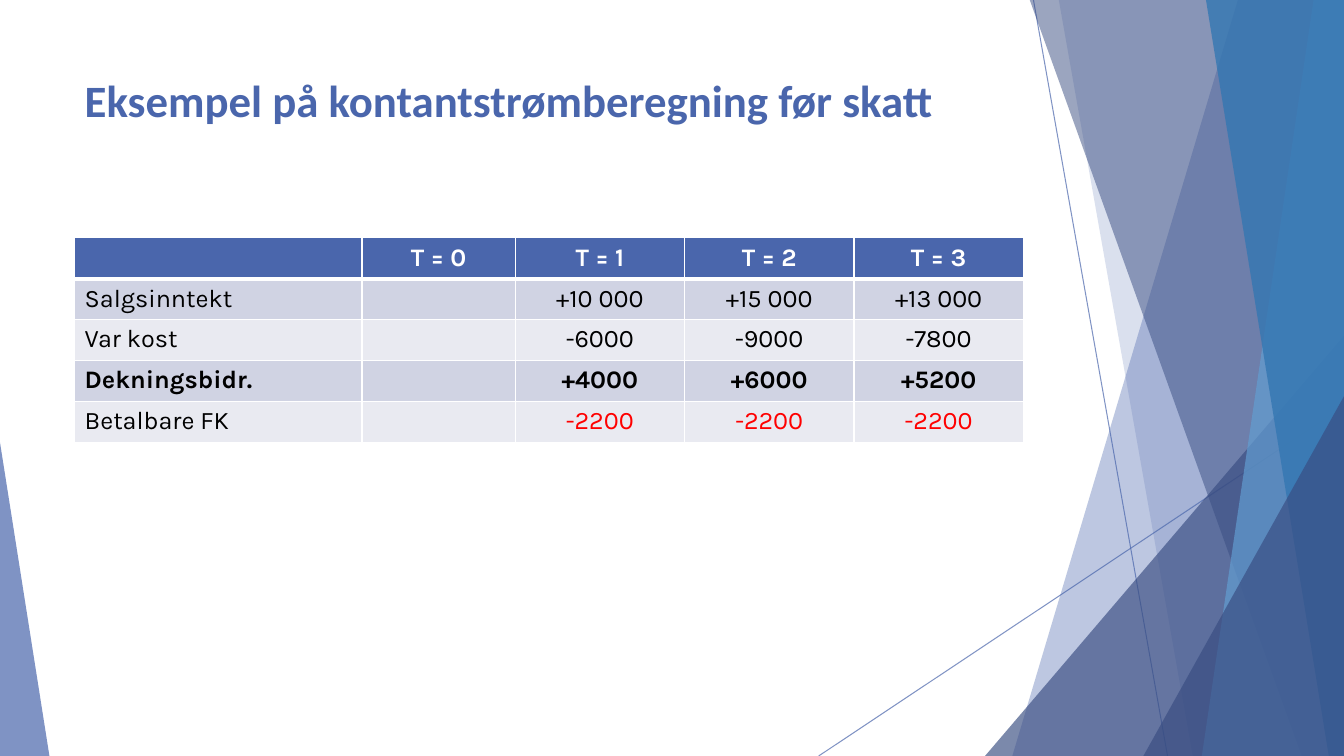
from dataclasses import dataclass

from lxml.etree import SubElement
from pptx import Presentation
from pptx.dml.color import RGBColor
from pptx.enum.shapes import MSO_CONNECTOR, MSO_SHAPE
from pptx.enum.text import MSO_ANCHOR, MSO_AUTO_SIZE, PP_ALIGN
from pptx.oxml.ns import qn
from pptx.util import Inches, Pt

WIDTH, HEIGHT = 13.33, 7.5
PANEL_TOP = -0.01
BLUE, NAVY, SKY, OCEAN = "4A66AC", "384C81", "629DD1", "3477B2"
WHITE, BLACK, RED = "FFFFFF", "000000", "FF0000"
BANDS = ("D0D3E3", "E9EAF1")


@dataclass(frozen=True)
class Ray:
    start: tuple[float, float]
    end: tuple[float, float]


@dataclass(frozen=True)
class Panel:
    """Area from a slanted left edge to the right side of the slide."""
    top_x: float
    bottom_x: float
    color: str
    opacity: int


@dataclass(frozen=True)
class Wedge:
    """Right triangle on the bottom edge; apex is 0 for left, 1 for right."""
    left: float
    top: float
    width: float
    apex: int
    color: str
    opacity: int


@dataclass(frozen=True)
class CashFlow:
    label: str
    amounts: tuple[str, ...]
    bold: bool = False
    amount_color: str = BLACK


RAYS = (Ray((10.25, 0), (11.58, HEIGHT)), Ray((WIDTH, 4.03), (8.12, HEIGHT)))
FACETS = (
    Panel(12.28, 10.04, BLUE, 36),
    Panel(10.5, 11.83, BLUE, 20),
    Wedge(9.77, 3.33, 3.56, 1, NAVY, 66),
    Panel(10.21, 12.91, NAVY, 50),
    Panel(13.03, 11.92, SKY, 70),
    Panel(11.96, 13.18, OCEAN, 80),
    Wedge(11.34, 3.93, 1.99, 1, NAVY, 66),
    Wedge(0, 4.39, 0.49, 0, BLUE, 70),
)
PERIODS = ("T = 0", "T = 1", "T = 2", "T = 3")
CASH_FLOWS = (
    CashFlow("Salgsinntekt", ("", "+10 000", "+15 000", "+13 000")),
    CashFlow("Var kost", ("", "-6000", "-9000", "-7800")),
    CashFlow("Dekningsbidr.", ("", "+4000", "+6000", "+5200"), bold=True),
    CashFlow("Betalbare FK", ("", "-2200", "-2200", "-2200"), amount_color=RED),
)
COLUMN_WIDTHS = (2.85, 1.52, 1.68, 1.68, 1.68)
ROW_HEIGHT = 2.03 / 5


def set_color(color_format, color: str, opacity: int = 100) -> None:
    color_format.rgb = RGBColor.from_string(color)
    if opacity < 100:
        srgb = color_format._xFill.find(qn("a:srgbClr"))
        SubElement(srgb, qn("a:alpha"), val=str(opacity * 1000))


def format_text(paragraph, font: str, size: int, color: str, bold: bool) -> None:
    for run in paragraph.runs:
        run.font.name = font
        run.font.size = Pt(size)
        run.font.bold = bold
        set_color(run.font.color, color)


def draw_ray(slide, ray: Ray) -> None:
    points = [Inches(value) for value in ray.start + ray.end]
    line = slide.shapes.add_connector(MSO_CONNECTOR.STRAIGHT, *points)
    line.line.width = Pt(0.75)
    line.line.fill.solid()
    set_color(line.line.fill.fore_color, BLUE, 70)
    SubElement(line._element.spPr, qn("a:effectLst"))


def draw_facet(slide, facet: Panel | Wedge) -> None:
    if isinstance(facet, Panel):
        outline = slide.shapes.build_freeform(Inches(facet.top_x), Inches(PANEL_TOP))
        corners = ((WIDTH, PANEL_TOP), (WIDTH, HEIGHT), (facet.bottom_x, HEIGHT))
        outline.add_line_segments([(Inches(x), Inches(y)) for x, y in corners])
        shape = outline.convert_to_shape()
    else:
        shape = slide.shapes.add_shape(
            MSO_SHAPE.ISOSCELES_TRIANGLE, Inches(facet.left), Inches(facet.top),
            Inches(facet.width), Inches(HEIGHT - facet.top))
        shape.adjustments[0] = facet.apex
    shape.shadow.inherit = False
    shape.line.fill.background()
    shape.fill.solid()
    set_color(shape.fill.fore_color, facet.color, facet.opacity)


def draw_title(slide) -> None:
    title = slide.shapes.title
    title.left, title.top = Inches(0.74), Inches(0.67)
    title.width, title.height = Inches(9.4), Inches(1.44)
    frame = title.text_frame
    frame.text = "Eksempel på kontantstrømberegning før skatt"
    frame.word_wrap = True
    frame.auto_size = MSO_AUTO_SIZE.NONE
    frame.vertical_anchor = MSO_ANCHOR.TOP
    frame.paragraphs[0].alignment = PP_ALIGN.LEFT
    format_text(frame.paragraphs[0], "Calibri", 32, BLUE, True)


def set_borders(cell, top: int, bottom: int) -> None:
    properties = cell._tc.get_or_add_tcPr()
    for side, width in (("L", 1), ("R", 1), ("T", top), ("B", bottom)):
        border = SubElement(properties, qn(f"a:ln{side}"), w=str(Pt(width)))
        fill = SubElement(border, qn("a:solidFill"))
        SubElement(fill, qn("a:srgbClr"), val=WHITE)


def fill_cell(cell, text: str, fill: str, color: str, bold: bool, centered: bool) -> None:
    cell.fill.solid()
    set_color(cell.fill.fore_color, fill)
    paragraph = cell.text_frame.paragraphs[0]
    paragraph.text = text
    paragraph.alignment = PP_ALIGN.CENTER if centered else PP_ALIGN.LEFT
    format_text(paragraph, "Karla", 18, color, bold)


def draw_cash_flow_table(slide) -> None:
    header = CashFlow("", PERIODS, bold=True, amount_color=WHITE)
    flows = (header, *CASH_FLOWS)
    table = slide.shapes.add_table(
        len(flows), len(COLUMN_WIDTHS), Inches(0.74), Inches(2.36),
        Inches(sum(COLUMN_WIDTHS)), Inches(ROW_HEIGHT * len(flows))).table
    for column, width in zip(table.columns, COLUMN_WIDTHS):
        column.width = Inches(width)
    for row, flow in enumerate(flows):
        fill = BANDS[(row - 1) % 2] if row else BLUE
        for column, text in enumerate((flow.label, *flow.amounts)):
            cell = table.cell(row, column)
            set_borders(cell, top=3 if row == 1 else 1, bottom=1 if row else 3)
            color = flow.amount_color if column else BLACK
            fill_cell(cell, text, fill, color, flow.bold, column > 0)


def main() -> None:
    presentation = Presentation()
    presentation.slide_width = Inches(WIDTH)
    presentation.slide_height = Inches(HEIGHT)
    slide = presentation.slides.add_slide(
        presentation.slide_layouts.get_by_name("Title Only"))
    for ray in RAYS:
        draw_ray(slide, ray)
    for facet in FACETS:
        draw_facet(slide, facet)
    draw_title(slide)
    draw_cash_flow_table(slide)
    presentation.save("out.pptx")


if __name__ == "__main__":
    main()
